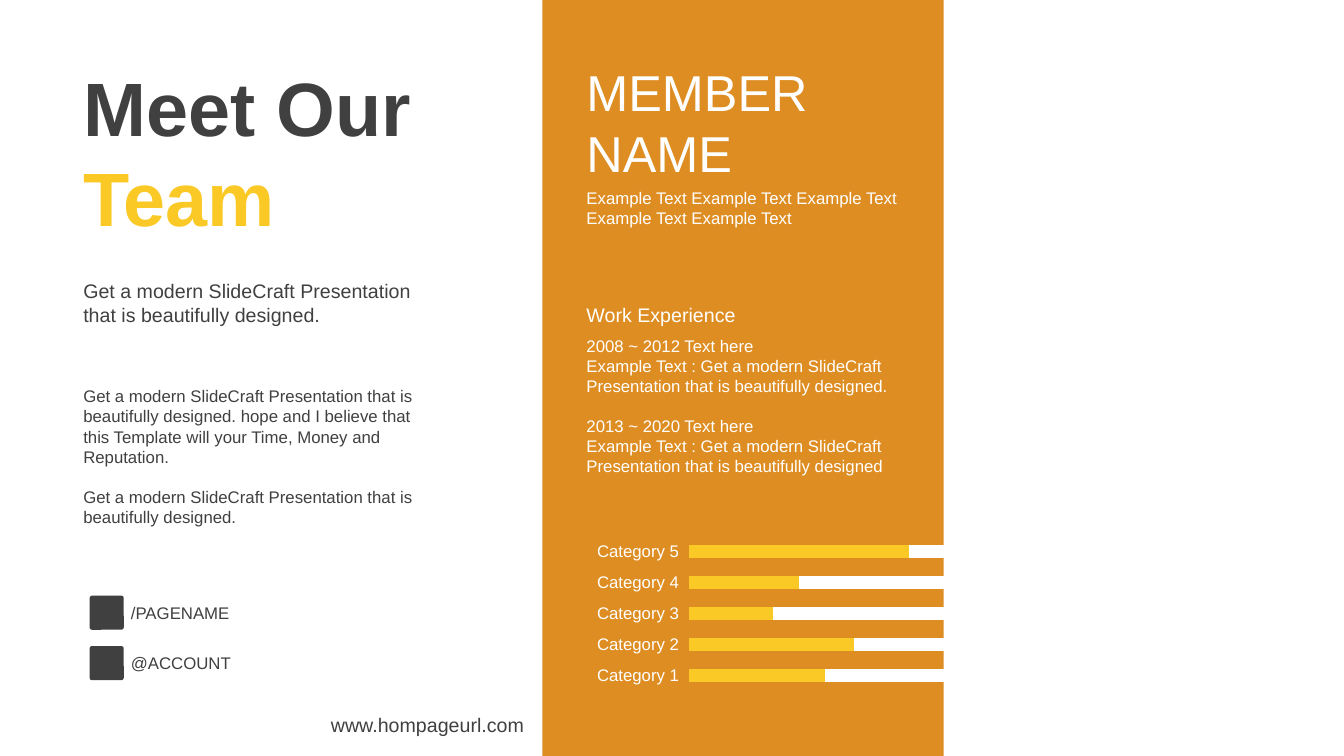
from dataclasses import dataclass

from lxml import etree
from pptx import Presentation
from pptx import util as u
from pptx.chart import data
from pptx.dml.color import RGBColor
from pptx.enum import chart as charts, shapes, text
from pptx.oxml import ns

WHITE = RGBColor(0xFF, 0xFF, 0xFF)
DARK = RGBColor(0x40, 0x40, 0x40)
GOLD = RGBColor(0xFA, 0xC9, 0x26)
AMBER = RGBColor(0xDE, 0x8D, 0x22)
FONT = "Arial"
TOP, MID = text.MSO_ANCHOR.TOP, text.MSO_ANCHOR.MIDDLE
LEFT, RIGHT = text.PP_ALIGN.LEFT, text.PP_ALIGN.RIGHT
EDGE, INNER, WIDE = 1.85, 14.53, 8.46


@dataclass
class Run:
    words: str
    color: RGBColor
    bold: bool = False


@dataclass
class Para:
    runs: list[Run]
    gap: float = 0


@dataclass
class Box:
    left: float
    top: float
    width: float
    height: float
    size: int
    paras: list[Para]
    anchor: text.MSO_ANCHOR = TOP
    align: text.PP_ALIGN = LEFT
    wrap: bool = True


@dataclass
class Series:
    name: str
    values: list[int]
    color: RGBColor


def plain(words: str, color: RGBColor, gap: float = 0) -> Para:
    return Para([Run(words, color)], gap)


PITCH = "Get a modern SlideCraft Presentation that is beautifully designed"
LINK_TOP, LINK_STEP = 15.06, 1.27
LINKS = ["/PAGENAME", "@ACCOUNT"]

BOXES = [
    Box(INNER, 8.33, WIDE, 3.84, 12, [
        plain("2008 ~ 2012 Text here", WHITE),
        plain(f"Example Text : {PITCH}.", WHITE),
        plain("2013 ~ 2020 Text here", WHITE, 0.5),
        plain(f"Example Text : {PITCH}", WHITE),
    ]),
    Box(INNER, 7.52, 4.29, 0.86, 14, [plain("Work Experience", WHITE)], wrap=False),
    Box(INNER, 1.42, WIDE, 3.33, 36, [plain("MEMBER", WHITE), plain("NAME", WHITE)]),
    Box(INNER, 4.6, WIDE, 1.27, 12,
        [plain(" ".join(["Example Text"] * 5), WHITE)], MID),
    Box(EDGE, 1.4, 10.46, 4.88, 54,
        [Para([Run("Meet Our ", DARK, True), Run("Team", GOLD, True)])]),
    Box(EDGE, 6.91, 9.47, 1.45, 14, [plain(f"{PITCH}.", DARK)]),
    Box(EDGE, 9.6, 9.47, 3.84, 12, [
        plain(f"{PITCH}. hope and I believe that this Template will your Time, "
              "Money and Reputation.", DARK),
        plain(f"{PITCH}.", DARK, 0.5),
    ]),
    Box(7.54, 17.83, 5.92, 0.86, 14, [plain("www.hompageurl.com", DARK)], MID, RIGHT),
]

SERIES = [
    Series("Series 1", [62, 75, 38, 50, 100], GOLD),
    Series("Series 2", [62, 50, 88, 75, 25], WHITE),
]
PLOT = {"x": 0.245, "y": 0.083, "w": 0.718, "h": 0.834}


def block(slide, kind: shapes.MSO_SHAPE, left: float, top: float,
          width: float, height: float, color: RGBColor):
    shape = slide.shapes.add_shape(
        kind, u.Cm(left), u.Cm(top), u.Cm(width), u.Cm(height))
    shape.shadow.inherit = False
    shape.fill.solid()
    shape.fill.fore_color.rgb = color
    shape.line.fill.background()
    return shape


def write(slide, box: Box) -> None:
    frame = slide.shapes.add_textbox(
        u.Cm(box.left), u.Cm(box.top), u.Cm(box.width), u.Cm(box.height)).text_frame
    frame.word_wrap = box.wrap
    frame.vertical_anchor = box.anchor
    for index, para in enumerate(box.paras):
        line = frame.add_paragraph() if index else frame.paragraphs[0]
        line.alignment = box.align
        if para.gap:
            line.space_before = u.Cm(para.gap)
        for part in para.runs:
            run = line.add_run()
            run.text = part.words
            run.font.name = FONT
            run.font.size = u.Pt(box.size)
            run.font.bold = part.bold
            run.font.color.rgb = part.color


def place(chart) -> None:
    area = chart.plots[0]._element.getparent()
    for old in area.findall(ns.qn("c:layout")):
        area.remove(old)
    layout = etree.Element(ns.qn("c:layout"))
    manual = etree.SubElement(layout, ns.qn("c:manualLayout"))
    rules = {"layoutTarget": "inner", "xMode": "edge", "yMode": "edge", **PLOT}
    for tag, value in rules.items():
        etree.SubElement(manual, ns.qn(f"c:{tag}")).set("val", str(value))
    area.insert(0, layout)


def graph(slide) -> None:
    table = data.CategoryChartData()
    table.categories = [f"Category {n}" for n in range(1, 6)]
    for item in SERIES:
        table.add_series(item.name, item.values)
    chart = slide.shapes.add_chart(
        charts.XL_CHART_TYPE.BAR_STACKED, u.Cm(INNER), u.Cm(13.13),
        u.Cm(11.58), u.Cm(4.67), table).chart
    chart.has_legend = False
    chart.has_title = False
    chart.font.name = FONT
    chart.font.size = u.Pt(18)
    plot = chart.plots[0]
    plot.gap_width = 140
    plot.overlap = 100
    plot.vary_by_categories = False
    for series, item in zip(plot.series, SERIES):
        series.format.fill.solid()
        series.format.fill.fore_color.rgb = item.color
    labels = chart.category_axis
    labels.format.line.fill.background()
    labels.tick_labels.font.name = FONT
    labels.tick_labels.font.size = u.Pt(12)
    labels.tick_labels.font.color.rgb = WHITE
    scale = chart.value_axis
    scale.visible = False
    scale.has_major_gridlines = False
    scale.minimum_scale = 0
    scale.maximum_scale = 150
    place(chart)


def main() -> None:
    deck = Presentation()
    deck.slide_width, deck.slide_height = u.Cm(33.87), u.Cm(19.05)
    slide = deck.slides.add_slide(deck.slide_layouts[6])
    block(slide, shapes.MSO_SHAPE.RECTANGLE, 13.67, 0, 10.11, 19.05, AMBER)
    graph(slide)
    for box in BOXES:
        write(slide, box)
    for index, name in enumerate(LINKS):
        top = LINK_TOP + index * LINK_STEP
        write(slide, Box(3.05, top, 3.4, 0.76, 12, [plain(name, DARK)], MID))
        icon = block(slide, shapes.MSO_SHAPE.ROUNDED_RECTANGLE,
                     2.26, top - 0.05, 0.86, 0.86, DARK)
        icon.adjustments[0] = 0.07
    deck.save("out.pptx")


if __name__ == "__main__":
    main()
